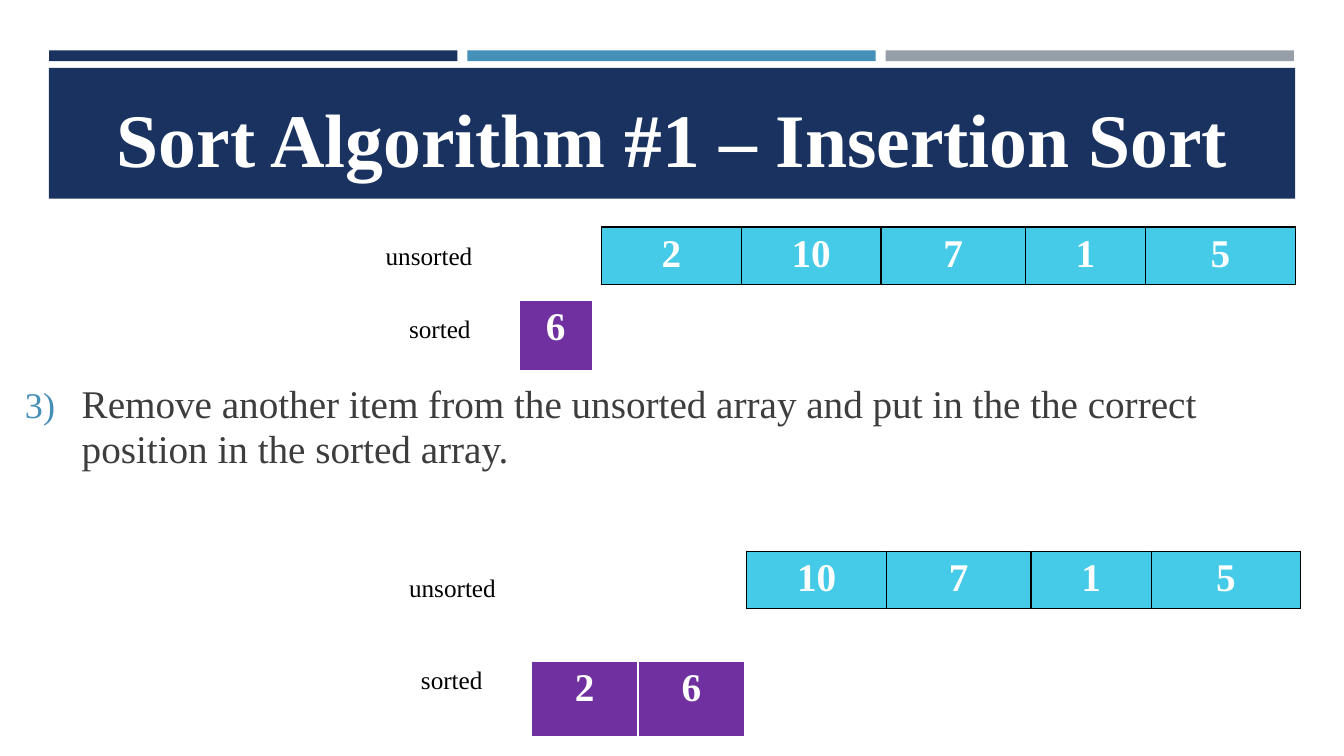
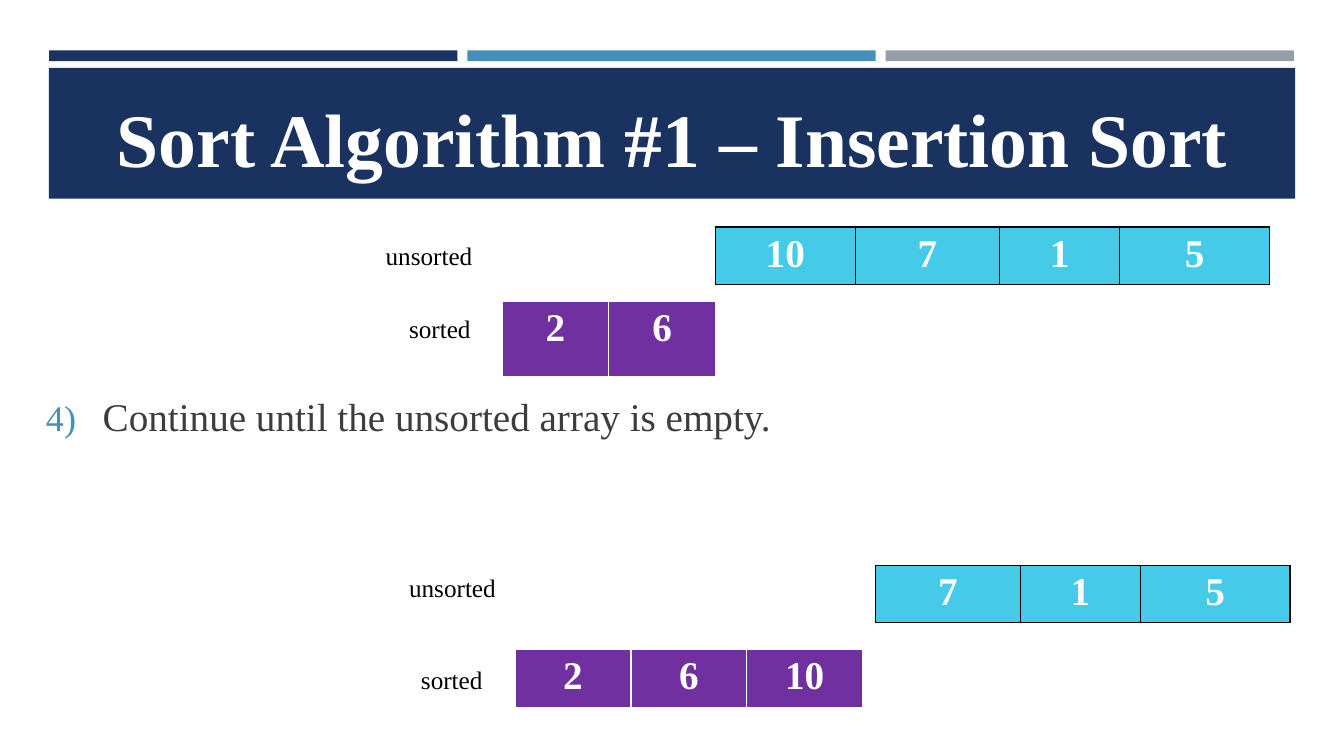
from dataclasses import dataclass
from typing import Any

from lxml.etree import SubElement
from pptx import Presentation
from pptx.dml.color import RGBColor
from pptx.enum.shapes import MSO_SHAPE
from pptx.enum.text import MSO_AUTO_SIZE, PP_ALIGN
from pptx.oxml import parse_xml
from pptx.oxml.ns import nsdecls, qn
from pptx.util import Cm, Pt

# Colours and text formats
NAVY = RGBColor(0x1A, 0x32, 0x60)
BLUE = RGBColor(0x45, 0x90, 0xB8)
GREY = RGBColor(0x96, 0x9F, 0xA7)
CYAN = RGBColor(0x45, 0xCB, 0xE8)
PURPLE = RGBColor(0x70, 0x30, 0xA0)
CHARCOAL = RGBColor(0x3D, 0x3D, 0x3D)
BLACK = RGBColor(0, 0, 0)
WHITE = RGBColor(0xFF, 0xFF, 0xFF)

FONT = "Times New Roman"
TITLE_FORMAT = {"name": FONT, "size": Pt(54), "bold": True}
CELL_FORMAT = {"name": FONT, "size": Pt(28), "bold": True}
STEP_FORMAT = {"name": FONT, "size": Pt(28)}
LABEL_FORMAT = {"name": FONT, "size": Pt(18)}

TITLE = "Sort Algorithm #1 – Insertion Sort"

# Column widths of the unsorted array, by value (cm)
UNSORTED_WIDTHS = {2: 3.52, 10: 3.52, 7: 3.64, 1: 3.03, 5: 3.77}
UNSORTED_HEIGHT = 1.44


@dataclass(frozen=True)
class Box:
    """Position and size in centimetres."""
    left: float
    top: float
    width: float
    height: float

    def emu(self) -> tuple[Cm, Cm, Cm, Cm]:
        return Cm(self.left), Cm(self.top), Cm(self.width), Cm(self.height)


@dataclass(frozen=True)
class Label:
    text: str
    box: Box


@dataclass(frozen=True)
class Unsorted:
    left: float
    top: float
    values: tuple[int, ...]


@dataclass(frozen=True)
class Sorted:
    left: float
    top: float
    values: tuple[int, ...]
    cell_width: float
    height: float


@dataclass(frozen=True)
class Step:
    number: int
    text: str
    box: Box
    arrays: tuple[Unsorted | Sorted, ...]


LABELS = (
    Label("unsorted", Box(9.47, 5.92, 3.91, 1.02)),
    Label("sorted", Box(10.06, 7.77, 3.33, 1.02)),
    Label("unsorted", Box(10.06, 14.3, 3.91, 1.02)),
    Label("sorted", Box(10.36, 16.61, 3.33, 1.02)),
)

STEPS = (
    Step(
        3,
        "Remove another item from the unsorted array and put in the the "
        "correct position in the sorted array.",
        Box(0.38, 9.53, 33.12, 2.6),
        (
            Unsorted(15.16, 5.72, (2, 10, 7, 1, 5)),
            Sorted(13.08, 7.57, (6,), 1.85, 1.8),
            Unsorted(18.82, 13.89, (10, 7, 1, 5)),
            Sorted(13.39, 16.66, (2, 6), 2.69, 1.93),
        ),
    ),
    Step(
        4,
        "Continue until the unsorted array is empty.",
        Box(0.91, 9.86, 21.62, 2.74),
        (
            Unsorted(18.03, 5.72, (10, 7, 1, 5)),
            Sorted(12.65, 7.59, (2, 6), 2.69, 1.93),
            Unsorted(22.07, 14.25, (7, 1, 5)),
            Sorted(12.98, 16.36, (2, 6, 10), 2.92, 1.5),
        ),
    ),
)


def write(p: Any, text: str, fmt: dict[str, Any], color: RGBColor) -> None:
    r = p.add_run()
    r.text = text
    for name, value in fmt.items():
        setattr(r.font, name, value)
    r.font.color.rgb = color


def add_text(s: Any, box: Box, text: str, fmt: dict[str, Any],
             color: RGBColor, align: PP_ALIGN = PP_ALIGN.LEFT) -> None:
    tf = s.shapes.add_textbox(*box.emu()).text_frame
    tf.word_wrap = True
    tf.auto_size = MSO_AUTO_SIZE.SHAPE_TO_FIT_TEXT
    p = tf.paragraphs[0]
    p.alignment = align
    write(p, text, fmt, color)


def add_band(s: Any, box: Box, color: RGBColor) -> None:
    sp = s.shapes.add_shape(MSO_SHAPE.RECTANGLE, *box.emu())
    sp.shadow.inherit = False
    sp.fill.solid()
    sp.fill.fore_color.rgb = color
    sp.line.fill.background()


def add_header(s: Any) -> None:
    for i, color in enumerate((NAVY, BLUE, GREY)):
        add_band(s, Box(1.24 + i * 10.54, 1.27, 10.29, 0.27), color)
    add_band(s, Box(1.23, 1.71, 31.41, 3.3), NAVY)
    add_text(s, Box(2.36, 2.18, 29.16, 2.57), TITLE, TITLE_FORMAT, WHITE,
             PP_ALIGN.CENTER)


def add_step(s: Any, step: Step) -> None:
    tf = s.shapes.add_textbox(*step.box.emu()).text_frame
    tf.word_wrap = True
    p = tf.paragraphs[0]
    p.line_spacing = 0.95
    # Hanging number
    pPr = p._p.get_or_add_pPr()
    pPr.set("marL", str(Cm(1.43)))
    pPr.set("indent", str(-Cm(1.43)))
    clr = SubElement(pPr, qn("a:buClr"))
    SubElement(clr, qn("a:srgbClr"), val=str(BLUE))
    SubElement(pPr, qn("a:buSzPct"), val="92000")
    SubElement(pPr, qn("a:buAutoNum"), type="arabicParenR",
               startAt=str(step.number))
    write(p, step.text, STEP_FORMAT, CHARCOAL)


def set_borders(cell: Any, color: RGBColor, bottom: float) -> None:
    tcPr = cell._tc.get_or_add_tcPr()
    for i, side in enumerate("LRTB"):
        width = Pt(bottom if side == "B" else 1)
        tcPr.insert(i, parse_xml(
            f'<a:ln{side} {nsdecls("a")} w="{width}"><a:solidFill>'
            f'<a:srgbClr val="{color}"/></a:solidFill></a:ln{side}>'))


def add_array(s: Any, array: Unsorted | Sorted) -> None:
    if isinstance(array, Sorted):
        widths = [array.cell_width] * len(array.values)
        height, fill, border, bottom = array.height, PURPLE, WHITE, 3
    else:
        widths = [UNSORTED_WIDTHS[v] for v in array.values]
        height, fill, border, bottom = UNSORTED_HEIGHT, CYAN, BLACK, 1
    box = Box(array.left, array.top, sum(widths), height)
    table = s.shapes.add_table(1, len(widths), *box.emu()).table
    for i, (value, width) in enumerate(zip(array.values, widths)):
        table.columns[i].width = Cm(width)
        cell = table.cell(0, i)
        cell.fill.solid()
        cell.fill.fore_color.rgb = fill
        set_borders(cell, border, bottom)
        p = cell.text_frame.paragraphs[0]
        p.alignment = PP_ALIGN.CENTER
        write(p, str(value), CELL_FORMAT, WHITE)


def main() -> None:
    prs = Presentation()
    prs.slide_width, prs.slide_height = Cm(33.87), Cm(19.05)
    for step in STEPS:
        s = prs.slides.add_slide(prs.slide_layouts[6])
        add_header(s)
        add_step(s, step)
        for label in LABELS:
            add_text(s, label.box, label.text, LABEL_FORMAT, BLACK)
        for array in step.arrays:
            add_array(s, array)
    prs.save("out.pptx")


if __name__ == "__main__":
    main()
